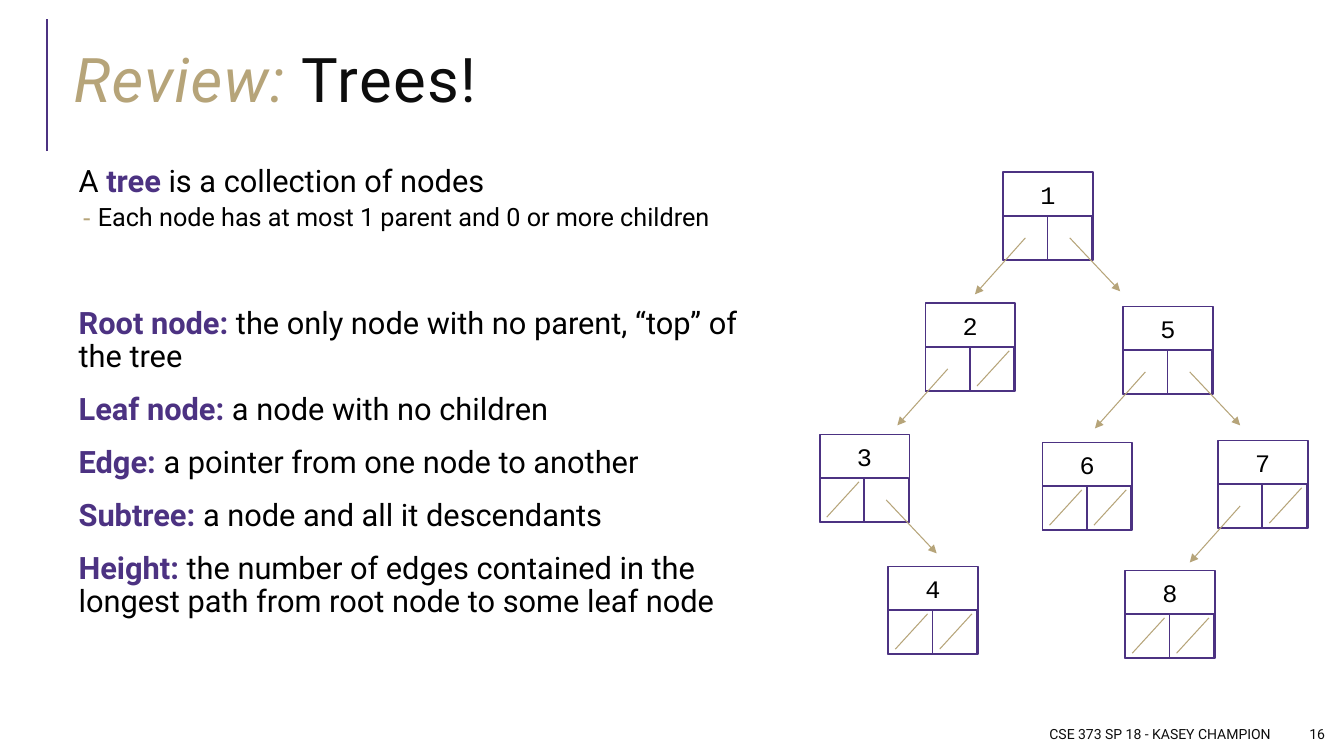
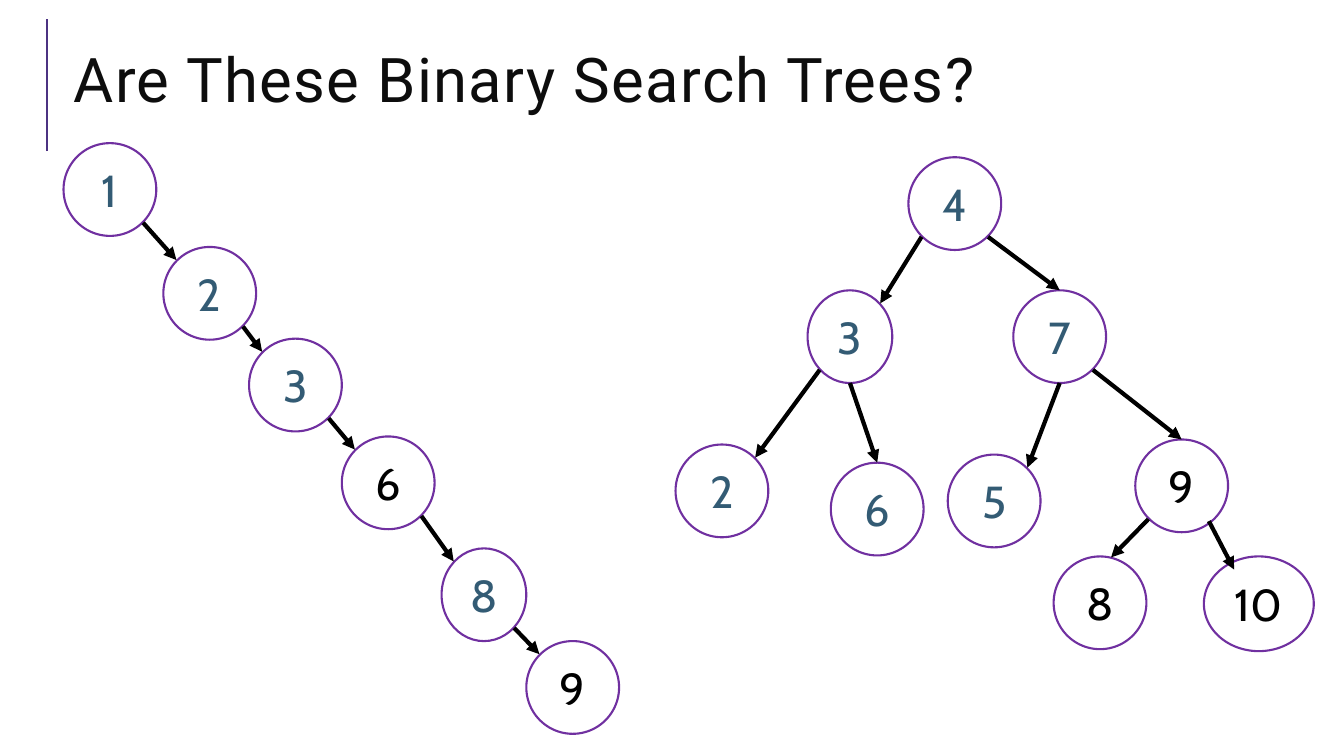
import math
from lxml import etree
from pptx import Presentation
from pptx import util as u
from pptx.dml.color import RGBColor
from pptx.enum import shapes, text
from pptx.oxml import ns

PX = 9144
PURPLE, GOLD, VIOLET = "4C3282", "B6A479", "7030A0"
BLACK, INK, TEAL, WHITE = "000000", "0D0D0D", "335B74", "FFFFFF"

RULE = (47, 150, 47, 19)
TITLE_BOX = (63, 29, 1223, 111)
BODY_BOX = (63, 160, 692, 530)

REVIEW_TITLE = [("Review:", True), (" Trees!", False)]
QUESTION_TITLE = [("Are These Binary Search Trees?", False)]
FOOTERS = [
    ("CSE 373 SP 18 - KASEY CHAMPION", (625, 713, 645, 30)),
    ("16", (1278, 713, 46, 30)),
]

# level, space before, runs as (words, is a term)
DEFINITIONS = [
    (0, 12, [("A ", False), ("tree", True), (" is a collection of nodes", False)]),
    (1, 2, [("Each node has at most 1 parent and 0 or more children", False)]),
    (0, 50, [("Root node: ", True), ("the only node with no parent, “top” of the tree", False)]),
    (0, 12, [("Leaf node: ", True), ("a node with no children", False)]),
    (0, 12, [("Edge: ", True), ("a pointer from one node to another", False)]),
    (0, 12, [("Subtree: ", True), ("a node and all it descendants", False)]),
    (0, 12, [("Height: ", True),
             ("the number of edges contained in the longest path from root node to some leaf node", False)]),
]

POINTER_NODES = [
    ("1", 995, 171, True, True),
    ("2", 918, 301, True, False),
    ("5", 1114, 304, True, True),
    ("3", 813, 431, False, True),
    ("6", 1034, 439, False, False),
    ("7", 1208, 437, True, False),
    ("4", 881, 562, False, False),
    ("8", 1116, 566, False, False),
]
NODE_WIDTH, NODE_HEIGHT, CELL = 89, 87, 44

CHAIN_NODES = {
    "1": (63, 142, 92, 92, TEAL),
    "2": (162, 245, 92, 92, TEAL),
    "3": (247, 336, 92, 92, TEAL),
    "6": (339, 433, 92, 92, BLACK),
    "8": (438, 544, 84, 92, TEAL),
    "9": (522, 636, 92, 92, BLACK),
}
CHAIN_EDGES = [(start, 45, end, 225)
               for start, end in zip(list(CHAIN_NODES), list(CHAIN_NODES)[1:])]

BRANCH_NODES = {
    "4": (901, 156, 92, 92, TEAL),
    "3": (801, 288, 84, 92, TEAL),
    "7": (1005, 288, 92, 92, TEAL),
    "2": (670, 441, 92, 92, TEAL),
    "6": (824, 459, 92, 92, TEAL),
    "5": (940, 451, 92, 92, TEAL),
    "9": (1126, 436, 92, 92, BLACK),
    "8": (1045, 552, 92, 92, BLACK),
    "10": (1194, 552, 109, 94, BLACK),
}
BRANCH_EDGES = [
    ("4", 135, "3", 315), ("4", 45, "7", 270),
    ("3", 135, "2", 315), ("3", 90, "6", 270),
    ("7", 90, "5", 315), ("7", 45, "9", 270),
    ("9", 135, "8", 284),
]
LAST_ARROW = (1199, 517, 1224, 565)


def px(*lengths):
    return [u.Emu(length * PX) for length in lengths]


def rgb(value):
    return RGBColor.from_string(value)


def add_run(paragraph, words, font="Roboto", size=10, color=INK, bold=False,
            italic=False, spacing=None, align=None):
    run = paragraph.add_run()
    run.text = words
    run.font.name, run.font.size = font, u.Pt(size)
    run.font.bold, run.font.italic = bold, italic
    run.font.color.rgb = rgb(color)
    if spacing:
        run.font._element.set("spc", str(spacing * 100))
    if align is not None:
        paragraph.alignment = align


def place(shape, box):
    shape.left, shape.top, shape.width, shape.height = px(*box)


def add_line(parent, ends, color, width, arrow=False):
    line = parent.add_connector(shapes.MSO_CONNECTOR.STRAIGHT, *px(*ends))
    line.line.color.rgb = rgb(color)
    line.line.width = u.Pt(width)
    if arrow:
        outline = line.line._get_or_add_ln()
        etree.SubElement(outline, ns.qn("a:tailEnd"), type="triangle")
    etree.SubElement(line.element.spPr, ns.qn("a:effectLst"))
    return line


def add_outline(parent, kind, box, color, width, fill=None):
    shape = parent.add_shape(kind, *px(*box))
    shape.shadow.inherit = False
    shape.line.color.rgb = rgb(color)
    shape.line.width = u.Pt(width)
    if fill:
        shape.fill.solid()
        shape.fill.fore_color.rgb = rgb(fill)
    else:
        shape.fill.background()
    return shape


def add_label(parent, words, box, wrap=True, anchor=text.MSO_ANCHOR.TOP, **style):
    frame = parent.add_textbox(*px(*box)).text_frame
    frame.word_wrap = wrap
    frame.vertical_anchor = anchor
    add_run(frame.paragraphs[0], words, **style)


def add_slide(presentation, layout, title_runs):
    slide = presentation.slides.add_slide(presentation.slide_layouts[layout])
    title = slide.shapes.title
    place(title, TITLE_BOX)
    frame = title.text_frame
    frame.auto_size = text.MSO_AUTO_SIZE.NONE
    frame.vertical_anchor = text.MSO_ANCHOR.MIDDLE
    paragraph = frame.paragraphs[0]
    paragraph.line_spacing = 0.8
    for words, accent in title_runs:
        add_run(paragraph, words, size=44, color=GOLD if accent else INK,
                italic=accent, spacing=1, align=text.PP_ALIGN.LEFT)
    return slide


def add_definitions(body):
    place(body, BODY_BOX)
    frame = body.text_frame
    frame.auto_size = text.MSO_AUTO_SIZE.NONE
    frame.vertical_anchor = text.MSO_ANCHOR.TOP
    frame.margin_left, frame.margin_top, frame.margin_right, frame.margin_bottom = px(5, 5, 5, 5)
    for index, (level, before, runs) in enumerate(DEFINITIONS):
        paragraph = frame.add_paragraph() if index else frame.paragraphs[0]
        paragraph.level = level
        paragraph.line_spacing = 0.9
        paragraph.space_before = u.Pt(before)
        paragraph.space_after = u.Pt(4 if level else 2)
        properties = paragraph._p.get_or_add_pPr()
        margin, indent = (29, -15) if level else (10, 0)
        properties.set("marL", str(margin * PX))
        properties.set("indent", str(indent * PX))
        if level:
            bullet_color = etree.SubElement(properties, ns.qn("a:buClr"))
            etree.SubElement(bullet_color, ns.qn("a:srgbClr"), val=GOLD)
            etree.SubElement(properties, ns.qn("a:buChar"), char="-")
        else:
            etree.SubElement(properties, ns.qn("a:buNone"))
        for words, term in runs:
            add_run(paragraph, words, size=18 if level else 22,
                    color=PURPLE if term else BLACK, bold=term)


def add_pointer_node(slide, value, x, y, has_left, has_right):
    group = slide.shapes.add_group_shape().shapes
    cell_top = y + NODE_HEIGHT - CELL
    boxes = [(x, y, NODE_WIDTH, NODE_HEIGHT)]
    boxes += [(x + side * CELL, cell_top, CELL, CELL) for side in (0, 1)]
    for box in boxes:
        add_outline(group, shapes.MSO_SHAPE.RECTANGLE, box, PURPLE, 1.25)
    add_label(group, value, (x + 27, y + 2, 35, 40), wrap=False,
              font="Courier New", size=18, color=BLACK)
    for side, has_child in enumerate((has_left, has_right)):
        cell_left = x + side * CELL
        if has_child:
            start_x, start_y = cell_left + CELL // 2, cell_top + CELL // 2
            reach, drop = (50, 53) if side else (-50, 56)
            ends = (start_x, start_y, start_x + reach, start_y + drop)
        else:
            ends = (cell_left + 39, cell_top + 4, cell_left + 7, cell_top + 39)
        add_line(group, ends, GOLD, 0.75, arrow=has_child)


def rim_point(node, degrees):
    x, y, width, height, _ = node
    angle = math.radians(degrees)
    return (round(x + width / 2 * (1 + math.cos(angle))),
            round(y + height / 2 * (1 + math.sin(angle))))


def add_circle_tree(slide, nodes, edges):
    for value, (*box, color) in nodes.items():
        circle = add_outline(slide.shapes, shapes.MSO_SHAPE.OVAL, box, VIOLET, 1.5, WHITE)
        frame = circle.text_frame
        frame.vertical_anchor = text.MSO_ANCHOR.MIDDLE
        add_run(frame.paragraphs[0], value, font="Cabin", size=32, color=color,
                align=text.PP_ALIGN.CENTER)
    for start, leave, end, arrive in edges:
        ends = rim_point(nodes[start], leave) + rim_point(nodes[end], arrive)
        add_line(slide.shapes, ends, BLACK, 3, arrow=True)


def main():
    presentation = Presentation()
    presentation.slide_width, presentation.slide_height = px(1333, 750)

    review = add_slide(presentation, 1, REVIEW_TITLE)
    rule = add_line(review.shapes, RULE, PURPLE, 1.5)
    presentation.slide_master.element.cSld.spTree.append(rule.element)
    add_definitions(review.placeholders[1])
    for words, box in FOOTERS:
        add_label(review.shapes, words, box, anchor=text.MSO_ANCHOR.MIDDLE,
                  align=text.PP_ALIGN.RIGHT)
    for node in POINTER_NODES:
        add_pointer_node(review, *node)

    question = add_slide(presentation, 5, QUESTION_TITLE)
    add_circle_tree(question, CHAIN_NODES, CHAIN_EDGES)
    add_circle_tree(question, BRANCH_NODES, BRANCH_EDGES)
    add_line(question.shapes, LAST_ARROW, BLACK, 3, arrow=True)

    presentation.save("out.pptx")


if __name__ == "__main__":
    main()
